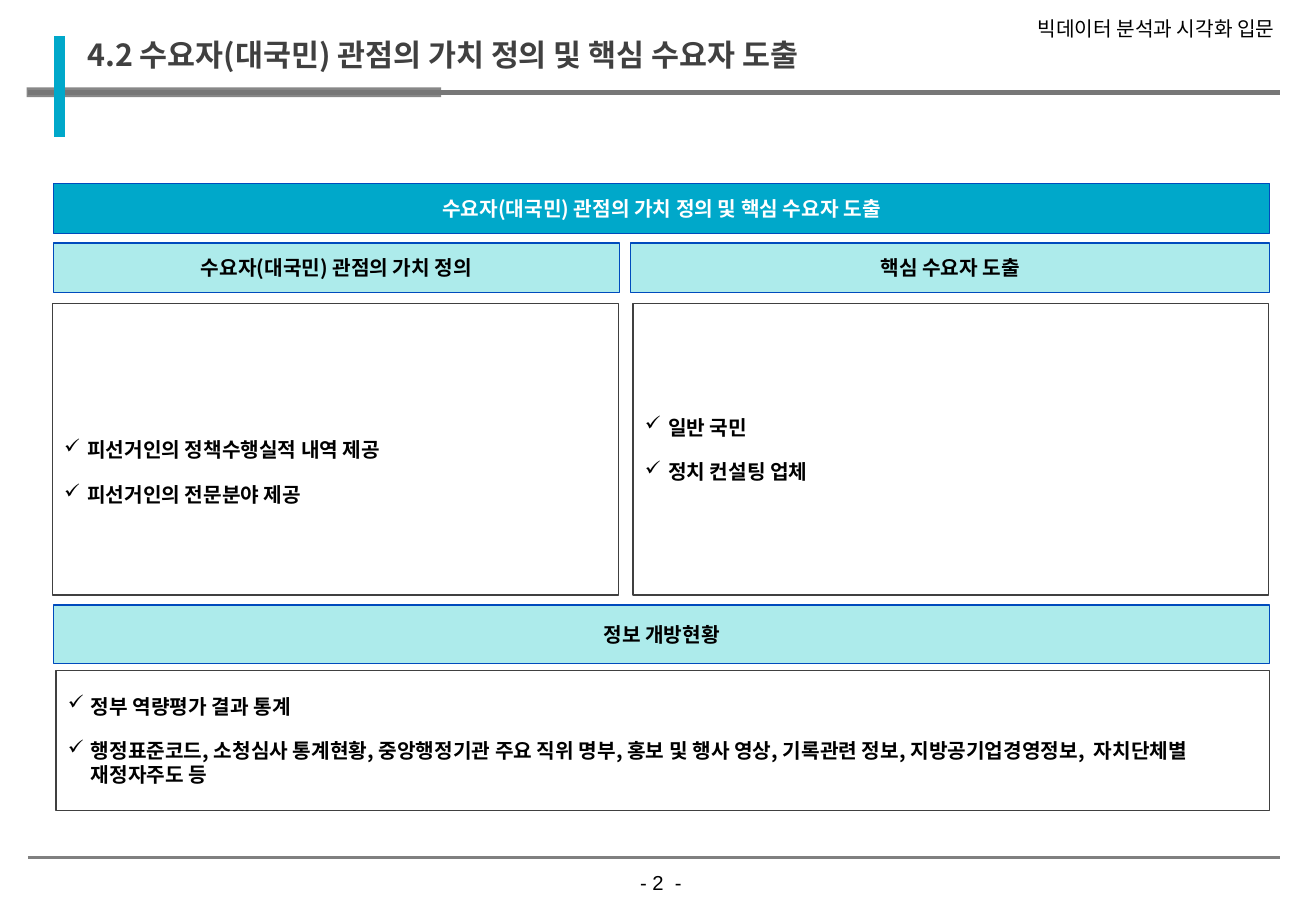
from pptx import Presentation
from pptx.dml.color import RGBColor
from pptx.enum.shapes import MSO_CONNECTOR, MSO_SHAPE
from pptx.enum.text import MSO_ANCHOR, PP_ALIGN
from pptx.oxml.ns import qn
from pptx.util import Inches, Pt
from lxml import etree

KOREAN = "Noto Sans CJK KR"
rgb = RGBColor.from_string


def write(shape, lines, size=12, color="000000", bold=True, align=PP_ALIGN.LEFT,
          font=KOREAN, checks=False):
    tf = shape.text_frame
    tf.text = "\n".join(lines)
    tf.word_wrap = True
    tf.vertical_anchor = MSO_ANCHOR.MIDDLE
    for p in tf.paragraphs:
        p.alignment = align
        if checks:
            p.space_before = Pt(12)
            pPr = p._p.get_or_add_pPr()
            pPr.set("marL", str(Inches(0.19)))
            pPr.set("indent", str(-Inches(0.19)))
            etree.SubElement(pPr, qn("a:buChar")).set("char", "✓")
        for r in p.runs:
            r.font.size, r.font.bold, r.font.name = Pt(size), bold, font
            r.font.color.rgb = rgb(color)
            etree.SubElement(r._r.rPr, qn("a:ea")).set("typeface", font)
    return tf


def add_box(s, x, y, w, h, fill, line=None):
    box = s.shapes.add_shape(MSO_SHAPE.RECTANGLE, Inches(x), Inches(y), Inches(w), Inches(h))
    box.shadow.inherit = False
    box.fill.solid()
    box.fill.fore_color.rgb = rgb(fill)
    if line:
        box.line.color.rgb = rgb(line)
        box.line.width = Pt(0.75)
    else:
        box.line.fill.background()
    return box


prs = Presentation()
prs.slide_width, prs.slide_height = Inches(10.83), Inches(7.5)
s = prs.slides.add_slide(prs.slide_layouts[6])

# Half-transparent band behind the header rule
band = add_box(s, 0.22, 0.72, 3.41, 0.08, "111111")
color = band.fill._xPr.find(qn("a:solidFill"))[0]
etree.SubElement(color, qn("a:alpha")).set("val", "50000")

# Footer rule, header rule, vertical accent
for x1, y1, x2, y2, line_color, width in [
    (0.23, 7.06, 10.53, 7.06, "808080", 2.25),
    (0.23, 0.76, 10.53, 0.76, "777777", 3),
    (0.49, 0.3, 0.49, 1.13, "00A8CA", 6),
]:
    rule = s.shapes.add_connector(MSO_CONNECTOR.STRAIGHT, Inches(x1), Inches(y1),
                                  Inches(x2), Inches(y2))
    rule.line.color.rgb = rgb(line_color)
    rule.line.width = Pt(width)
    etree.SubElement(rule._element.spPr, qn("a:effectLst"))

# Course name, title, page number
course = s.shapes.add_textbox(Inches(6.52), Inches(0.11), Inches(3.97), Inches(0.22))
tf = write(course, ["빅데이터 분석과 시각화 입문"], bold=False, align=PP_ALIGN.RIGHT)
tf.margin_left = tf.margin_right = tf.margin_top = tf.margin_bottom = 0
tf.paragraphs[0].line_spacing = Pt(16)

topic = "수요자(대국민) 관점의 가치 정의 및 핵심 수요자 도출"
title = s.shapes.add_textbox(Inches(0.62), Inches(0.24), Inches(9.75), Inches(0.41))
write(title, ["4.2 " + topic], size=18, color="404040")

page = s.shapes.add_textbox(Inches(5.11), Inches(7.11), Inches(0.66), Inches(0.31))
write(page, ["- 2  -"], bold=False, align=PP_ALIGN.CENTER, font="Arial")

# Heading bars
for x, y, w, h, fill, text_color, text in [
    (0.44, 1.51, 10.01, 0.41, "00A8CA", "FFFFFF", topic),
    (0.44, 2, 4.66, 0.41, "ADEBEB", "000000", "수요자(대국민) 관점의 가치 정의"),
    (5.19, 2, 5.26, 0.41, "ADEBEB", "000000", "핵심 수요자 도출"),
    (0.44, 4.98, 10.01, 0.48, "ADEBEB", "000000", "정보 개방현황"),
]:
    bar = add_box(s, x, y, w, h, fill, "004BBD")
    write(bar, [text], color=text_color, align=PP_ALIGN.CENTER)

# Checklist panels; the top inset lowers the first list
for x, y, w, h, top, items in [
    (0.43, 2.5, 4.66, 2.4, 0.42, ["피선거인의 정책수행실적 내역 제공", "피선거인의 전문분야 제공"]),
    (5.21, 2.5, 5.23, 2.4, 0.05, ["일반 국민", "정치 컨설팅 업체"]),
    (0.46, 5.52, 9.99, 1.15, 0.05, [
        "정부 역량평가 결과 통계",
        "행정표준코드, 소청심사 통계현황, 중앙행정기관 주요 직위 명부, 홍보 및 행사 영상, "
        "기록관련 정보, 지방공기업경영정보,  자치단체별 재정자주도 등"]),
]:
    panel = add_box(s, x, y, w, h, "FFFFFF", "404040")
    tf = write(panel, items, checks=True)
    tf.margin_top = Inches(top)

prs.save("out.pptx")
